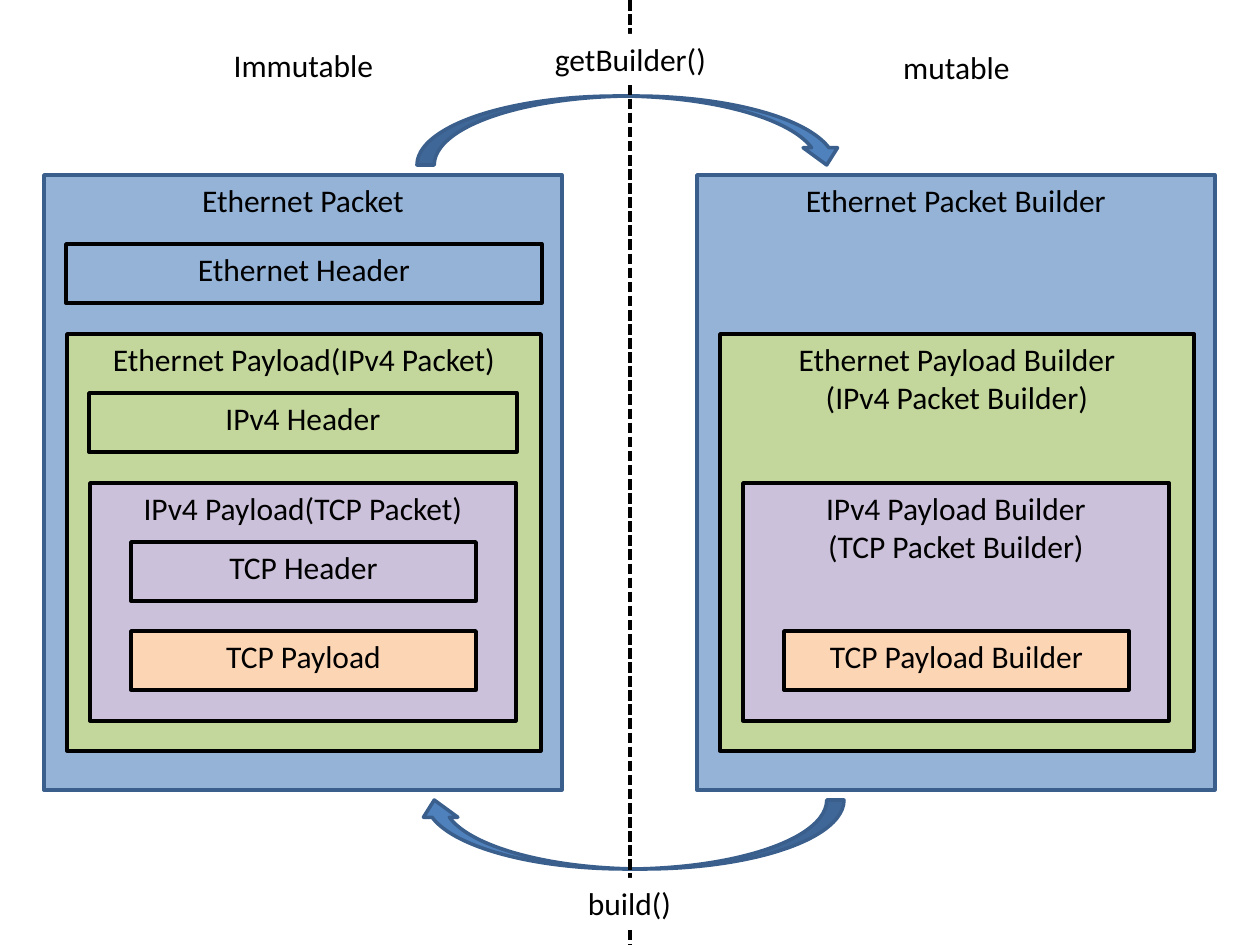
import pptx
import pptx.dml.color
import pptx.enum.dml
import pptx.enum.shapes
import pptx.enum.text
import pptx.oxml
import pptx.oxml.ns
import pptx.util
from dataclasses import dataclass

PIXEL = 914400 // 126
SHAPES = pptx.enum.shapes.MSO_SHAPE


@dataclass
class Theme:
    font: str = "Calibri"
    size: int = 18
    line_width: int = 2
    black: str = "000000"
    white: str = "FFFFFF"
    ethernet: str = "95B3D7"
    ipv4: str = "C3D69B"
    tcp: str = "CCC1DA"
    payload: str = "FCD5B5"
    arrow: str = "4F81BD"
    outline: str = "3A5F8C"


theme = Theme()
rgb = pptx.dml.color.RGBColor.from_string

presentation = pptx.Presentation()
presentation.slide_width = pptx.util.Inches(10)
presentation.slide_height = pptx.util.Inches(7.5)
slide = presentation.slides.add_slide(presentation.slide_layouts[6])


def add_block(text, box, fill=None, line=None, kind=SHAPES.RECTANGLE):
    """Add a shape at a pixel box, with top-aligned centred text."""
    shape = slide.shapes.add_shape(kind, *(value * PIXEL for value in box))
    shape.shadow.inherit = False
    if fill:
        shape.fill.solid()
        shape.fill.fore_color.rgb = rgb(fill)
    else:
        shape.fill.background()
    if line:
        shape.line.color.rgb = rgb(line)
        shape.line.width = pptx.util.Pt(theme.line_width)
    else:
        shape.line.fill.background()
    frame = shape.text_frame
    frame.word_wrap = True
    frame.vertical_anchor = pptx.enum.text.MSO_ANCHOR.TOP
    frame.text = text
    for paragraph in frame.paragraphs:
        paragraph.alignment = pptx.enum.text.PP_ALIGN.CENTER
        paragraph.font.name = theme.font
        paragraph.font.size = pptx.util.Pt(theme.size)
        paragraph.font.color.rgb = rgb(theme.black)
    return shape


# Nested packet layers: left, top, width, height, fill, line, packet, builder
layers = [
    (44, 175, 518, 615, theme.ethernet, theme.outline,
     "Ethernet Packet", "Ethernet Packet Builder"),
    (66, 244, 476, 59, theme.ethernet, theme.black, "Ethernet Header", None),
    (67, 334, 474, 417, theme.ipv4, theme.black,
     "Ethernet Payload(IPv4 Packet)",
     "Ethernet Payload Builder\n(IPv4 Packet Builder)"),
    (89, 393, 428, 59, theme.ipv4, theme.black, "IPv4 Header", None),
    (90, 483, 426, 238, theme.tcp, theme.black,
     "IPv4 Payload(TCP Packet)",
     "IPv4 Payload Builder\n(TCP Packet Builder)"),
    (131, 542, 345, 59, theme.tcp, theme.black, "TCP Header", None),
    (131, 631, 345, 59, theme.payload, theme.black,
     "TCP Payload", "TCP Payload Builder"),
]
BUILDER_OFFSET = 653
for column, offset in enumerate((0, BUILDER_OFFSET)):
    for left, top, width, height, fill, line, *labels in layers:
        if labels[column]:
            add_block(labels[column], (left + offset, top, width, height),
                      fill=fill, line=line)

# Curved arrows between the two sides
for top, rotation in ((96, 0), (800, 180)):
    arrow = add_block("", (417, top, 427, 69), fill=theme.arrow,
                      line=theme.outline, kind=SHAPES.CURVED_DOWN_ARROW)
    arrow.rotation = rotation

# Dashed divider
divider = slide.shapes.add_connector(
    pptx.enum.shapes.MSO_CONNECTOR.STRAIGHT,
    630 * PIXEL, 0, 630 * PIXEL, 945 * PIXEL)
divider.line.color.rgb = rgb(theme.black)
divider.line.width = pptx.util.Pt(theme.line_width)
divider.line.dash_style = pptx.enum.dml.MSO_LINE.SQUARE_DOT
divider._element.spPr.append(pptx.oxml.parse_xml(
    "<a:effectLst %s/>" % pptx.oxml.ns.nsdecls("a")))

# Side headings and method names; the names interrupt the divider
for text, left, top, fill in (
    ("Immutable", 214, 40, None),
    ("mutable", 867, 42, None),
    ("getBuilder()", 541, 34, theme.white),
    ("build()", 540, 878, theme.white),
):
    add_block(text, (left, top, 179, 51), fill=fill)

presentation.save("out.pptx")
